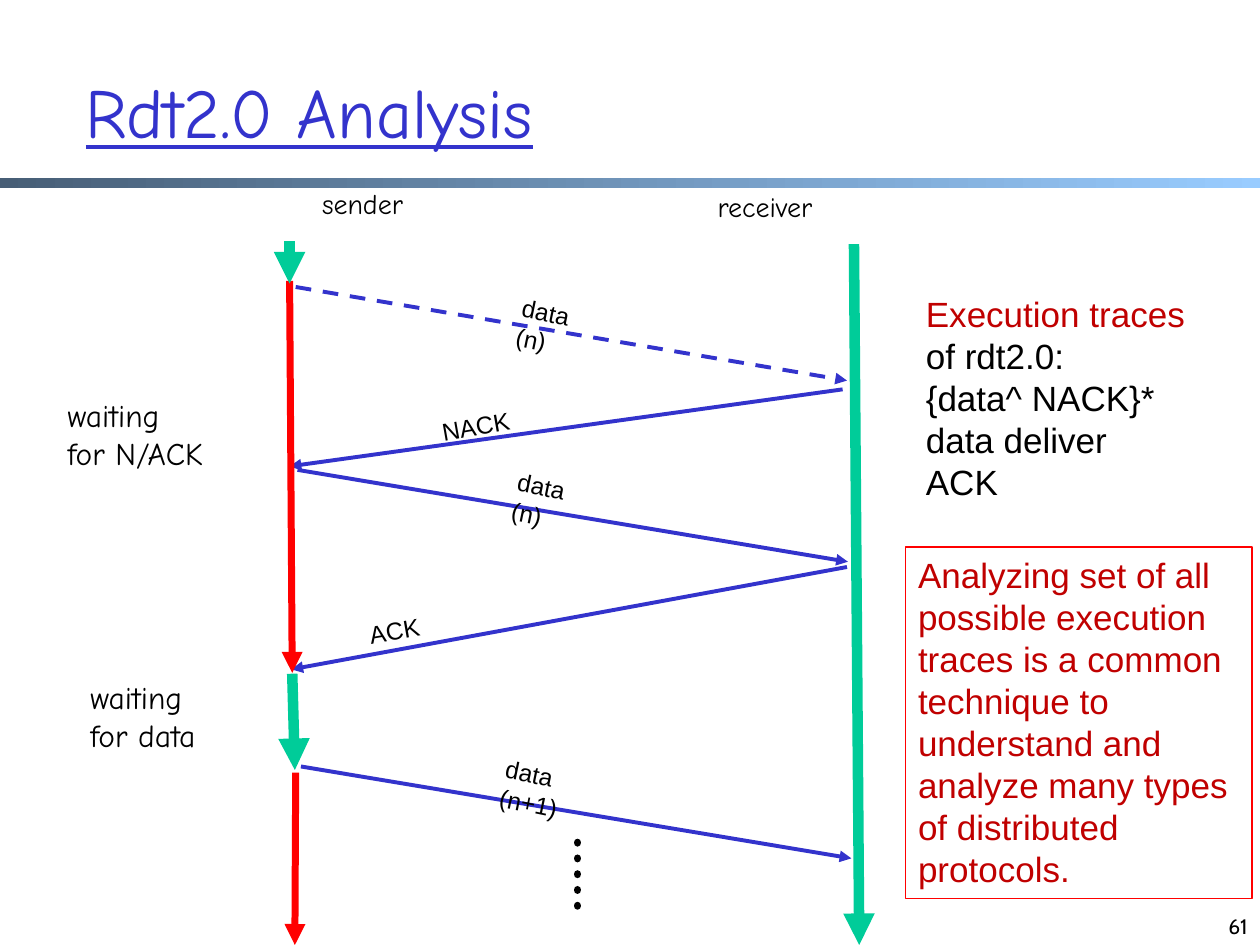
from lxml.etree import SubElement
from pptx import Presentation
from pptx.dml.color import RGBColor
from pptx.enum.dml import MSO_LINE
from pptx.enum.shapes import MSO_CONNECTOR, MSO_SHAPE
from pptx.enum.text import MSO_ANCHOR, PP_ALIGN
from pptx.oxml.ns import qn
from pptx.util import Pt

COLORS = {
    "black": "000000",
    "blue": "3333CC",
    "red": "FF0000",
    "dark red": "C00000",
    "green": "00CC99",
    "bar start": "475E76",
    "bar end": "99CCFF",
}


def color_of(name):
    return RGBColor.from_string(COLORS[name])


def write_text(para, text, font="Arial", size=14, color="black", underline=None):
    for index, line in enumerate(text.split("\n")):
        if index:
            para.add_line_break()
        span = para.add_run()
        span.text = line
        span.font.name = font
        span.font.size = Pt(size)
        span.font.color.rgb = color_of(color)
        span.font.underline = underline


class SlideBuilder:
    hand_font = "Comic Neue"
    message_width = 2.25

    def __init__(self, page):
        self.page = page

    def bar(self, left, top, width, height):
        bar = self.page.shapes.add_shape(
            MSO_SHAPE.RECTANGLE, Pt(left), Pt(top), Pt(width), Pt(height))
        bar.shadow.inherit = False
        bar.line.fill.background()
        bar.fill.gradient()
        bar.fill.gradient_angle = 0
        for stop, name in zip(bar.fill.gradient_stops, ("bar start", "bar end")):
            stop.color.rgb = color_of(name)

    def text(self, left, top, width, height, text, anchor=MSO_ANCHOR.TOP,
             align=PP_ALIGN.LEFT, rotation=0, outline=None, **style):
        box = self.page.shapes.add_textbox(Pt(left), Pt(top), Pt(width), Pt(height))
        box.rotation = rotation
        if outline:
            box.line.color.rgb = color_of(outline)
            box.line.width = Pt(0.75)
        frame = box.text_frame
        frame.word_wrap = True
        frame.vertical_anchor = anchor
        para = frame.paragraphs[0]
        para.alignment = align
        write_text(para, text, **style)
        return para

    def line(self, start, end, color, width, dash=None):
        line = self.page.shapes.add_connector(
            MSO_CONNECTOR.STRAIGHT, *(Pt(value) for value in (*start, *end)))
        line.line.color.rgb = color_of(color)
        line.line.width = Pt(width)
        if dash:
            line.line.dash_style = dash
        SubElement(line.element.spPr, qn("a:effectLst"))
        return line

    def arrow(self, start, end, color, width, dash=None):
        arrow = self.line(start, end, color, width, dash)
        SubElement(arrow.line._get_or_add_ln(), qn("a:tailEnd"), type="triangle")

    def message(self, start, end, dash=None):
        self.arrow(start, end, "blue", self.message_width, dash)

    def dots(self, start, end):
        dots = self.line(start, end, "black", 4.5, MSO_LINE.ROUND_DOT)
        dots.line._get_or_add_ln().set("cap", "rnd")


def main():
    deck = Presentation()
    deck.slide_width, deck.slide_height = Pt(720), Pt(540)
    slide = SlideBuilder(deck.slides.add_slide(deck.slide_layouts[6]))
    hand = slide.hand_font

    slide.bar(0, 101.5, 720, 6)
    slide.text(42, 18, 631, 90, "Rdt2.0 Analysis", anchor=MSO_ANCHOR.MIDDLE,
               font=hand, size=40, color="blue", underline=True)

    for left, top, width, height, label, size in (
        (177, 103, 66, 27, "sender", 16),
        (403, 104.5, 77, 27, "receiver", 16),
        (31.5, 223, 112, 50, "waiting\nfor N/ACK", 18),
        (44.5, 384, 85, 50, "waiting\nfor data", 18),
    ):
        slide.text(left, top, width, height, label, font=hand, size=size)

    slide.message((169, 164), (484, 217.5), MSO_LINE.DASH)
    for start, end in (
        ((481.5, 222.5), (165.5, 266.5)),
        ((170, 268.5), (484.5, 321)),
        ((484, 324), (166.5, 382.5)),
        ((172, 438), (486.5, 490.5)),
    ):
        slide.message(start, end)

    for left, top, width, label, rotation in (
        (291, 168.5, 62.5, "data (n)", 11.8),
        (244, 217.5, 215, "NACK", 350),
        (288.5, 268, 62.5, "data (n)", 11.8),
        (202.5, 333.5, 215, "ACK", 350),
        (281.5, 433.5, 78.5, "data (n+1)", 11.8),
    ):
        slide.text(left, top, width, 24, label, rotation=rotation)

    for start, end, color, width in (
        ((165.5, 160.5), (167, 384.5), "red", 4),
        ((488, 139.5), (491, 540), "green", 6),
        ((167, 385), (168.5, 440), "green", 6),
        ((165.5, 138), (165.5, 162), "green", 6),
        ((169, 441.5), (168.5, 540), "red", 4),
    ):
        slide.arrow(start, end, color, width)
    slide.dots((330, 481.5), (330, 526.5))

    traces = slide.text(522, 163.5, 177, 128, "Execution traces ",
                        size=20, color="dark red")
    write_text(traces, "of rdt2.0:\n{data^ NACK}* data deliver\nACK", size=20)
    slide.text(517.5, 312.5, 198, 201,
               "Analyzing set of all possible execution traces is a common "
               "technique to understand and analyze many types of "
               "distributed protocols.",
               outline="red", size=20, color="dark red")
    slide.text(552, 504, 168, 36, "61", anchor=MSO_ANCHOR.BOTTOM,
               align=PP_ALIGN.RIGHT, font="Cabin", size=12)

    deck.save("out.pptx")


if __name__ == "__main__":
    main()
